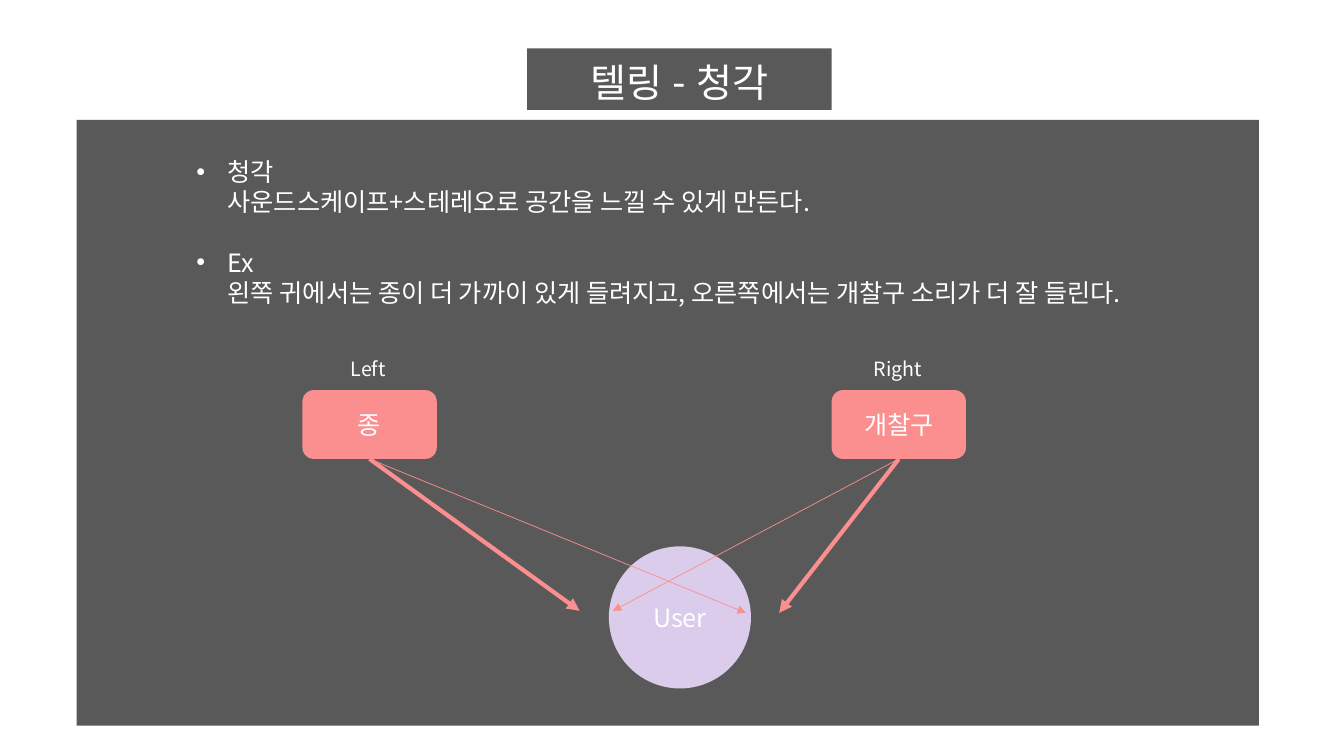
from dataclasses import dataclass

from pptx import Presentation
from pptx.dml.color import RGBColor
from pptx.enum.shapes import MSO_CONNECTOR, MSO_SHAPE
from pptx.enum.text import PP_ALIGN
from pptx.oxml.ns import qn
from pptx.util import Inches, Pt
from lxml.etree import SubElement


@dataclass(frozen=True)
class Theme:
    """Colours, fonts, type sizes and line widths of the slide."""
    panel: str = "000000"
    panel_opacity: int = 65
    source: str = "FB8F8F"
    listener: str = "DACCEA"
    text: str = "FFFFFF"
    body_font: str = "Noto Sans CJK KR"
    title_font: str = "Lato"
    title_size: int = 28
    body_size: int = 18
    label_size: int = 14
    line_pitch: float = 1.2
    near_line: float = 3
    far_line: float = 0.5


THEME = Theme()
CELLS_PER_INCH = 12
COLUMNS, ROWS = 160, 90
BOTTOM = 2

BULLETS = (
    "청각\n사운드스케이프+스테레오로 공간을 느낄 수 있게 만든다.",
    "Ex\n왼쪽 귀에서는 종이 더 가까이 있게 들려지고, 오른쪽에서는 개찰구 소리가 더 잘 들린다.",
)
# Each source: name, column, label, label column, near ear, far ear
SOURCES = (
    ("종", 36, "Left", 40.56, (69, 72.72), (88.8, 72.96)),
    ("개찰구", 99, "Right", 102.84, (92.76, 72.96), (72.96, 72.72)),
)


def cells(*counts):
    """Turn counts of grid cells into lengths."""
    return [Inches(count / CELLS_PER_INCH) for count in counts]


def format_text(para, size, font=THEME.body_font, align=PP_ALIGN.LEFT):
    """Style a paragraph and all its spans."""
    para.alignment = align
    para.line_spacing = Pt(size * THEME.line_pitch)
    for span in para.runs:
        span.font.size = Pt(size)
        span.font.name = font
        span.font.color.rgb = RGBColor.from_string(THEME.text)
        properties = span.font._element
        SubElement(properties, qn("a:ea"), typeface=THEME.body_font)


def add_block(page, kind, area, color, text="", opacity=100):
    """Add a filled shape, with centred text if given."""
    block = page.shapes.add_shape(kind, *cells(*area))
    block.shadow.inherit = False
    block.fill.solid()
    block.fill.fore_color.rgb = RGBColor.from_string(color)
    block.line.fill.background()
    if opacity < 100:
        tint = block._element.spPr.find(qn("a:solidFill"))[0]
        SubElement(tint, qn("a:alpha"), val=str(opacity * 1000))
    if text:
        block.text_frame.text = text
        format_text(block.text_frame.paragraphs[0], THEME.body_size, align=PP_ALIGN.CENTER)
    return block


def add_text(page, area, text, size, **style):
    """Add a wrapping text box with one paragraph."""
    box = page.shapes.add_textbox(*cells(*area))
    box.text_frame.word_wrap = True
    box.text_frame.text = text
    format_text(box.text_frame.paragraphs[0], size, **style)


def add_bullets(page, area, items):
    """Add a bulleted list with one empty line's height between items."""
    box = page.shapes.add_textbox(*cells(*area))
    frame = box.text_frame
    frame.word_wrap = True
    for index, item in enumerate(items):
        para = frame.add_paragraph() if index else frame.paragraphs[0]
        para.text = item
        properties = para._p.get_or_add_pPr()
        indent = Inches(0.31)
        properties.set("marL", str(indent))
        properties.set("indent", str(-indent))
        SubElement(properties, qn("a:buFont"), typeface="Arial")
        SubElement(properties, qn("a:buChar"), char="•")
        format_text(para, THEME.body_size)
        if index:
            para.space_before = Pt(THEME.body_size * THEME.line_pitch)


def add_arrow(page, block, target, width):
    """Add an arrow from the bottom of a block to a grid point."""
    end = cells(*target)
    arrow = page.shapes.add_connector(MSO_CONNECTOR.STRAIGHT, *end, *end)
    arrow.begin_connect(block, BOTTOM)
    arrow.line.color.rgb = RGBColor.from_string(THEME.source)
    arrow.line.width = Pt(width)
    SubElement(arrow.line._get_or_add_ln(), qn("a:tailEnd"), type="triangle")
    SubElement(arrow._element.spPr, qn("a:effectLst"))


def main():
    """Build the slide and save it."""
    deck = Presentation()
    deck.slide_width, deck.slide_height = cells(COLUMNS, ROWS)
    page = deck.slides.add_slide(deck.slide_layouts[6])

    for area in ((62.76, 5.76, 36.24, 7.32), (9.12, 14.28, 140.76, 72.12)):
        add_block(page, MSO_SHAPE.RECTANGLE, area, THEME.panel, opacity=THEME.panel_opacity)
    add_bullets(page, (22.2, 18, 113.4, 23.04), BULLETS)
    add_text(page, (64.2, 6.36, 33.36, 6.84), "텔링 - 청각", THEME.title_size,
             font=THEME.title_font, align=PP_ALIGN.CENTER)

    add_block(page, MSO_SHAPE.OVAL, (72.48, 65.04, 16.92, 16.92), THEME.listener, "User")
    for name, column, label, label_column, near_ear, far_ear in SOURCES:
        block = add_block(page, MSO_SHAPE.ROUNDED_RECTANGLE, (column, 46.44, 16, 8.2),
                          THEME.source, name)
        add_arrow(page, block, near_ear, THEME.near_line)
        add_arrow(page, block, far_ear, THEME.far_line)
        add_text(page, (label_column, 41.88, 12.96, 4.08), label, THEME.label_size)

    deck.save("out.pptx")


if __name__ == "__main__":
    main()
